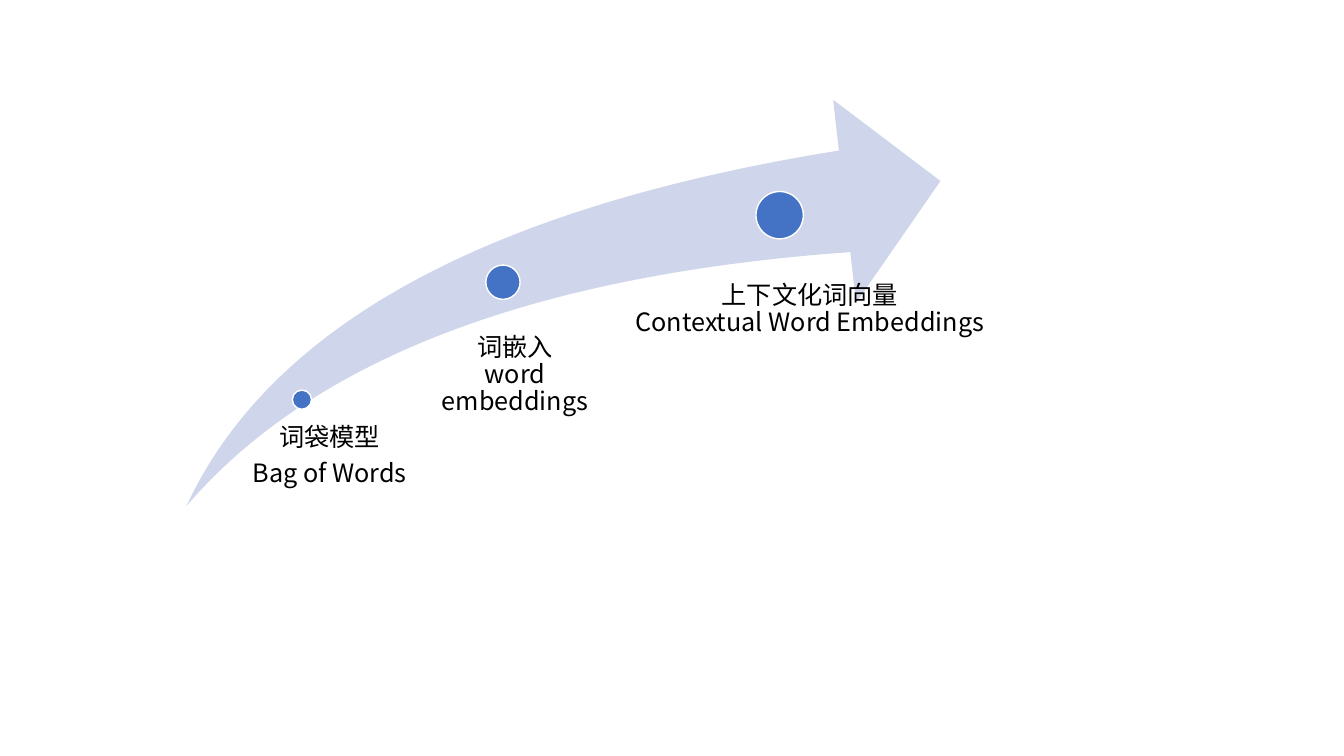
from dataclasses import dataclass

from lxml.etree import SubElement as Sub
from pptx import Presentation as Deck
from pptx.dml.color import RGBColor as Rgb
from pptx.enum.shapes import MSO_SHAPE as Kind
from pptx.enum.text import MSO_ANCHOR as Anchor, PP_ALIGN as Align
from pptx.oxml.ns import qn
from pptx.shapes.autoshape import Shape
from pptx.slide import Slide
from pptx.util import Emu, Inches, Pt


@dataclass(frozen=True)
class Theme:
    swoosh: Rgb = Rgb.from_string("CFD5EA")
    dot: Rgb = Rgb.from_string("4472C4")
    rim: Rgb = Rgb.from_string("FFFFFF")
    ink: Rgb = Rgb.from_string("000000")
    font: str = "Noto Sans CJK SC"
    size: float = 18
    edge: float = 1
    lead: float = 0.9
    gap: float = 0.35
    inset: float = 0.53


@dataclass(frozen=True)
class Box:
    left: float
    top: float
    width: float
    height: float


@dataclass(frozen=True)
class Stage:
    x: float
    y: float
    size: float
    label: Box
    text: str


THEME = Theme()
COLS, ROWS = 160, 90
CELL = Inches(1 / 12)
ARROW = Box(22.2, 11.88, 89.76, 48.36)
STAGES = (
    Stage(35.94, 47.58, 2.28, Box(28.56, 50.52, 20.16, 11.52),
          "词袋模型\nBag of Words"),
    Stage(59.88, 33.6, 4.08, Box(46.56, 39.84, 27.36, 23.16),
          "词嵌入\vword embeddings"),
    Stage(92.82, 25.62, 5.64, Box(71.76, 33.6, 46.32, 26.64),
          "上下文化词向量\vContextual Word Embeddings"),
)


def span(cells: float) -> Emu:
    return Emu(round(cells * CELL))


def place(box: Box) -> tuple[Emu, Emu, Emu, Emu]:
    return span(box.left), span(box.top), span(box.width), span(box.height)


def draw(slide: Slide, kind: Kind, box: Box, fill: Rgb) -> Shape:
    shape = slide.shapes.add_shape(kind, *place(box))
    shape.shadow.inherit = False
    shape.fill.solid()
    shape.fill.fore_color.rgb = fill
    shape.line.fill.background()
    return shape


def swoosh(slide: Slide) -> None:
    shape = draw(slide, Kind.SWOOSH_ARROW, ARROW, THEME.swoosh)
    shape.adjustments[0] = shape.adjustments[1] = 0.25


def dot(slide: Slide, stage: Stage) -> None:
    half = stage.size / 2
    box = Box(stage.x - half, stage.y - half, stage.size, stage.size)
    shape = draw(slide, Kind.OVAL, box, THEME.dot)
    shape.line.color.rgb = THEME.rim
    shape.line.width = Pt(THEME.edge)


def label(slide: Slide, stage: Stage) -> None:
    frame = slide.shapes.add_textbox(*place(stage.label)).text_frame
    frame.word_wrap = True
    frame.vertical_anchor = Anchor.TOP
    frame.margin_left = span(stage.size * THEME.inset)
    frame.margin_top = frame.margin_right = frame.margin_bottom = 0
    frame.text = stage.text
    for para in frame.paragraphs:
        para.alignment = Align.CENTER
        para.line_spacing = THEME.lead
        para.space_after = Pt(THEME.size * THEME.gap)
        for run in para.runs:
            font = run.font
            font.name = THEME.font
            font.size = Pt(THEME.size)
            font.color.rgb = THEME.ink
            Sub(run._r.get_or_add_rPr(), qn("a:ea"), typeface=THEME.font)


def main() -> None:
    """Build the slide on the road from word bags to contextual vectors."""
    deck = Deck()
    deck.slide_width, deck.slide_height = span(COLS), span(ROWS)
    slide = deck.slides.add_slide(deck.slide_layouts[6])
    swoosh(slide)
    for stage in STAGES:
        dot(slide, stage)
        label(slide, stage)
    deck.save("out.pptx")


if __name__ == "__main__":
    main()
